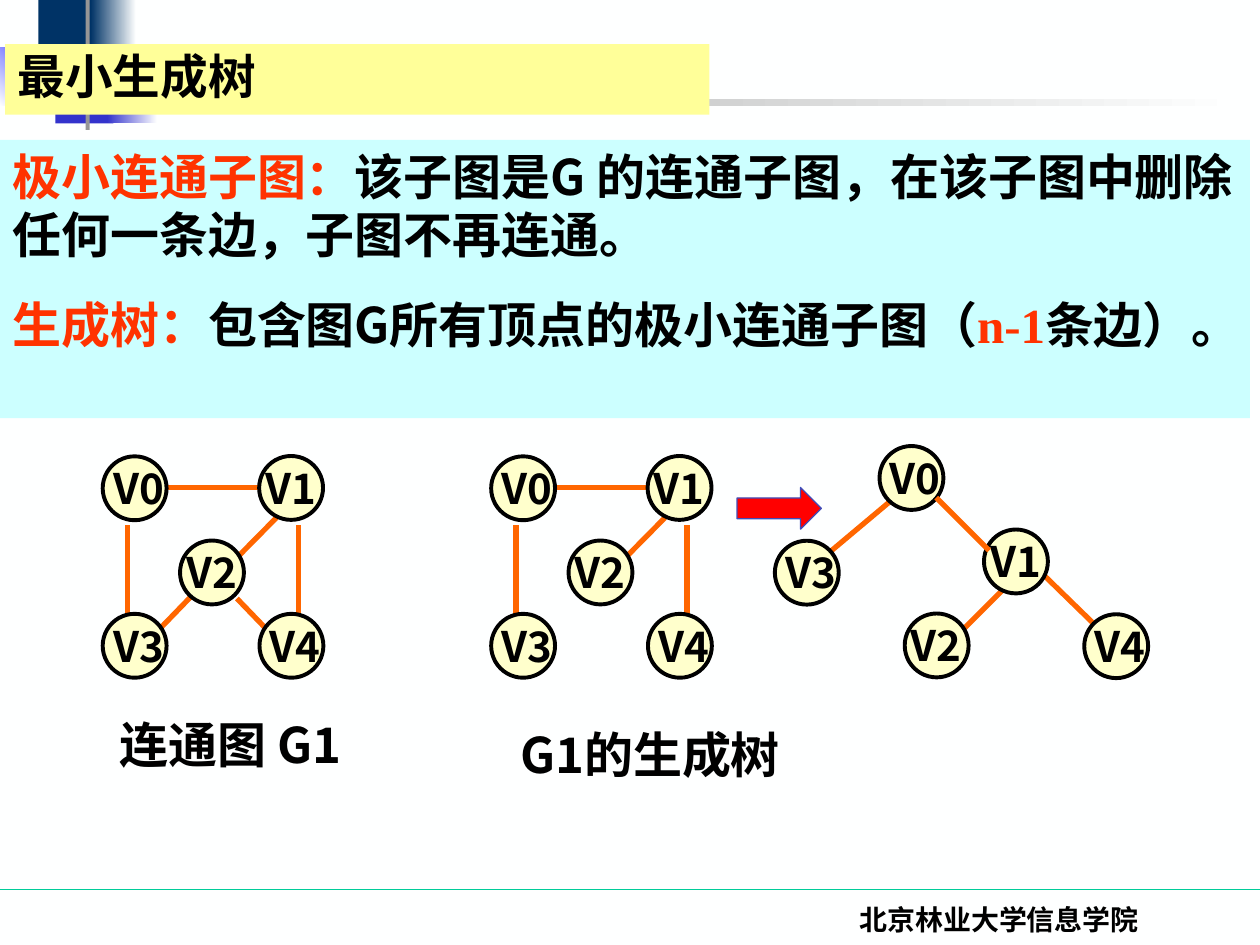
"""Build the minimum spanning tree slide with two graphs and a redrawn tree."""
from pptx import Presentation, util as u
from pptx.dml.color import RGBColor
from pptx.enum import shapes, text
from pptx.oxml.ns import qn
from lxml import etree

Pt = u.Pt
Kind = shapes.MSO_SHAPE
SANS, SERIF, LABEL = "Noto Sans CJK SC", "Times New Roman", "DejaVu Sans"
COLORS = {
    "page": "FEFFFF", "ink": "000000", "navy": "003366", "blue": "3333CC",
    "bright": "0000FF", "gray": "969696", "green": "00CC99", "pale": "CCFFFF",
    "yellow": "FFFF99", "cream": "FFFFCC", "orange": "FF6600",
    "accent": "FF3300", "red": "FF0000", "edge": "3E4DBA",
}


def color(name):
    return RGBColor.from_string(COLORS[name])


class Deck:
    """Hold the style and the current slide."""

    def __init__(self):
        self.prs = Presentation()
        self.prs.slide_width, self.prs.slide_height = Pt(720), Pt(540)
        self.slide = self.prs.slides.add_slide(self.prs.slide_layouts[5])
        self.shapes = self.slide.shapes
        fill = self.slide.background.fill
        fill.solid()
        fill.fore_color.rgb = color("page")

    def run(self, para, words, size, hue="ink", face=SANS):
        run = para.add_run()
        run.text = words
        font = run.font
        font.size, font.bold, font.name = Pt(size), True, face
        font.color.rgb = color(hue)
        east = etree.SubElement(run._r.get_or_add_rPr(), qn("a:ea"))
        east.set("typeface", SANS)

    def shape(self, kind, box, fill, line=None, width=0.75):
        item = self.shapes.add_shape(kind, *map(Pt, box))
        item.shadow.inherit = False
        item.fill.solid()
        item.fill.fore_color.rgb = color(fill)
        if line:
            item.line.color.rgb = color(line)
            item.line.width = Pt(width)
        else:
            item.line.fill.background()
        return item

    def fade(self, box, start, end, angle=0):
        item = self.shape(Kind.RECTANGLE, box, start)
        item.fill.gradient()
        item.fill.gradient_angle = angle
        for stop, hue, pos in zip(item.fill.gradient_stops, (start, end), (0, 1)):
            stop.color.rgb = color(hue)
            stop.position = pos

    def line(self, ends, hue="orange", width=3):
        item = self.shapes.add_connector(shapes.MSO_CONNECTOR.STRAIGHT, *map(Pt, ends))
        item.line.color.rgb = color(hue)
        item.line.width = Pt(width)
        etree.SubElement(item._element.spPr, qn("a:effectLst"))

    def label(self, box, words, size, align=text.PP_ALIGN.CENTER, face=SANS, inset=7.2):
        frame = self.shapes.add_textbox(*map(Pt, box)).text_frame
        frame.word_wrap = True
        frame.margin_left = Pt(inset)
        para = frame.paragraphs[0]
        para.alignment = align
        self.run(para, words, size, face=face)

    def panel(self, box, fill, paras, size):
        frame = self.shape(Kind.RECTANGLE, box, fill).text_frame
        frame.word_wrap = True
        frame.vertical_anchor = text.MSO_ANCHOR.TOP
        for num, runs in enumerate(paras):
            para = frame.add_paragraph() if num else frame.paragraphs[0]
            para.alignment = text.PP_ALIGN.LEFT
            if num:
                para.space_before = Pt(17.5)
            for words, hue, face in runs:
                self.run(para, words, size, hue, face)

    def node(self, name, left, top):
        self.shape(Kind.OVAL, (left, top, 36.5, 36.5), "cream", "ink", 2.25)
        shift = 6 if name in ("V1", "V2") else 3.6
        self.label((left - shift, top, 51, 36), name, 24, text.PP_ALIGN.LEFT, inset=9.5)

    def graph(self, nodes, edges, shift=0):
        for x1, y1, x2, y2 in edges:
            self.line((x1 + shift, y1, x2 + shift, y2))
        for name, (left, top) in nodes.items():
            self.node(name, left + shift, top)

    def title(self, box, words, size, fill):
        item = self.shapes.title
        item.left, item.top, item.width, item.height = map(Pt, box)
        item.fill.solid()
        item.fill.fore_color.rgb = color(fill)
        frame = item.text_frame
        frame.vertical_anchor = text.MSO_ANCHOR.MIDDLE
        para = frame.paragraphs[0]
        para.alignment = text.PP_ALIGN.LEFT
        para.line_spacing = 0.9
        self.run(para, words, size)
        self.shapes._spTree.append(item._element)


NODES = {"V0": (58.7, 260.8), "V4": (148.3, 350.8), "V3": (58.7, 350.8),
         "V1": (148.1, 260.6), "V2": (102.9, 308.9)}
SPAN = [(72.9, 300.2, 72.9, 352.1), (94.2, 278.6, 153.5, 278.6),
        (170.6, 300.2, 170.6, 352.1), (157.9, 295.9, 136.6, 317.5)]
EXTRA = [(110.9, 339.1, 90, 360.7), (135.4, 342, 153.4, 360.7)]
TREE = {"V0": (502.6, 254.9), "V4": (619.6, 351), "V3": (442.8, 309),
        "V1": (562.3, 302.6), "V2": (517, 350.6)}
LIMBS = [(511.2, 284.4, 475.2, 314.6), (594.7, 326.9, 625, 356.4),
         (572.4, 337.7, 550.8, 359.3)]
TEXT = [
    [("极小连通子图", "accent", LABEL), ("：", "accent", SANS),
     ("该子图是G 的连通子图，在该子图中删除任何一条边，子图不再连通。", "ink", SANS)],
    [("生成树：", "accent", LABEL), ("包含图G所有顶点的极小连通子图（", "ink", SANS),
     ("n-1", "accent", SERIF), ("条边）", "ink", SERIF), ("。", "ink", SANS)],
]


def main():
    deck = Deck()
    deck.line((0, 508.3, 720, 508.3), "green", 0.75)
    deck.shape(Kind.RECTANGLE, (22, 0, 34.6, 37.4), "navy")
    deck.fade((51.8, 0, 26, 37.4), "navy", "page")
    deck.shape(Kind.RECTANGLE, (31.7, 33.1, 33.1, 37.4), "blue")
    deck.fade((61.2, 33.1, 28.8, 37.4), "blue", "page")
    deck.fade((0, 27.4, 43.2, 33.1), "page", "bright", 45)
    deck.shape(Kind.RECTANGLE, (49, 0, 2.2, 74.2), "gray")
    deck.fade((23.8, 56.4, 684.7, 4.1), "gray", "page")
    deck.label((422, 512, 298, 36), "北京林业大学信息学院", 16, face=SERIF)
    deck.panel((0, 79.9, 714.2, 159.1), "pale", TEXT, 28)
    deck.label((283, 410.4, 177, 41), "G1的生成树", 28)
    deck.label((43.2, 404.6, 177, 41), "连通图 G1", 28)
    deck.graph(NODES, SPAN, 222)
    deck.graph(NODES, SPAN + EXTRA)
    deck.graph(TREE, LIMBS)
    deck.line((535, 284.4, 565.2, 314.6))
    deck.shape(Kind.RIGHT_ARROW, (421.2, 278.6, 48.2, 23.8), "red", "edge")
    deck.title((2.9, 25.2, 402.5, 40.3), "最小生成树", 27.2, "yellow")
    deck.prs.save("out.pptx")


if __name__ == "__main__":
    main()
